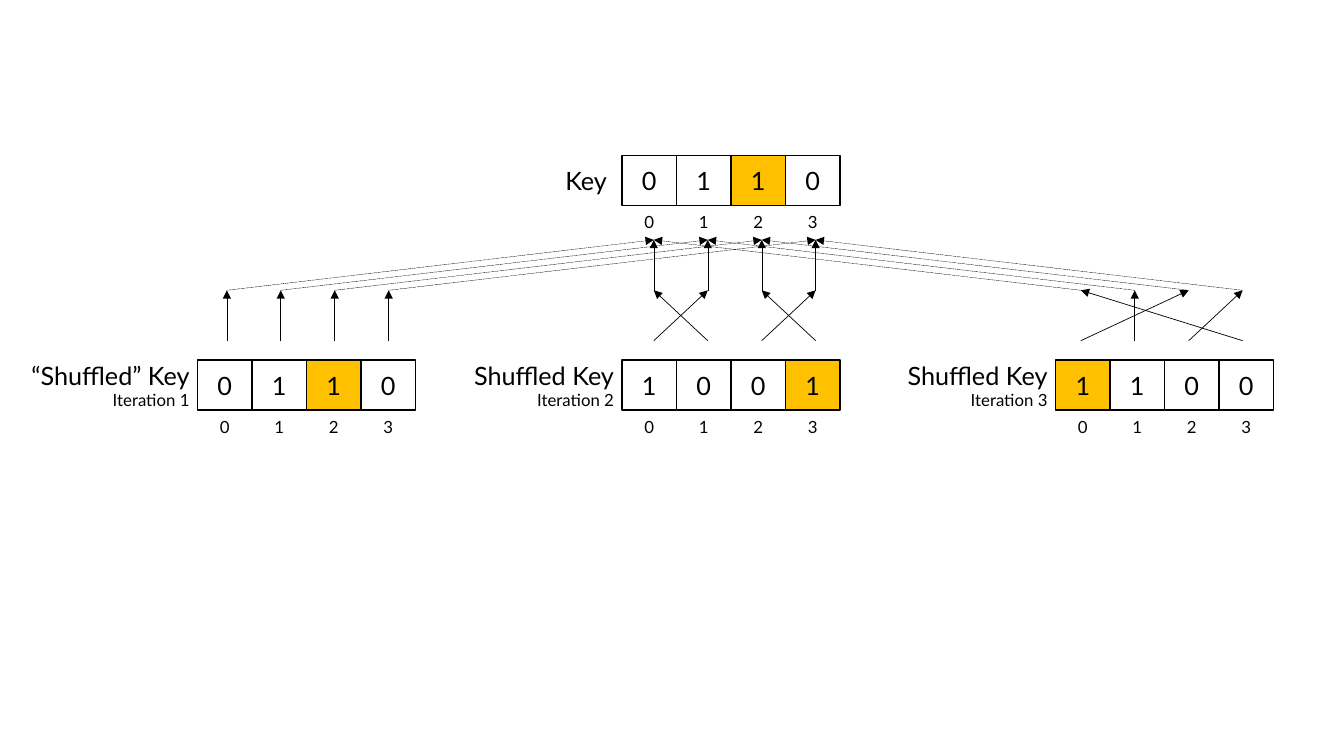
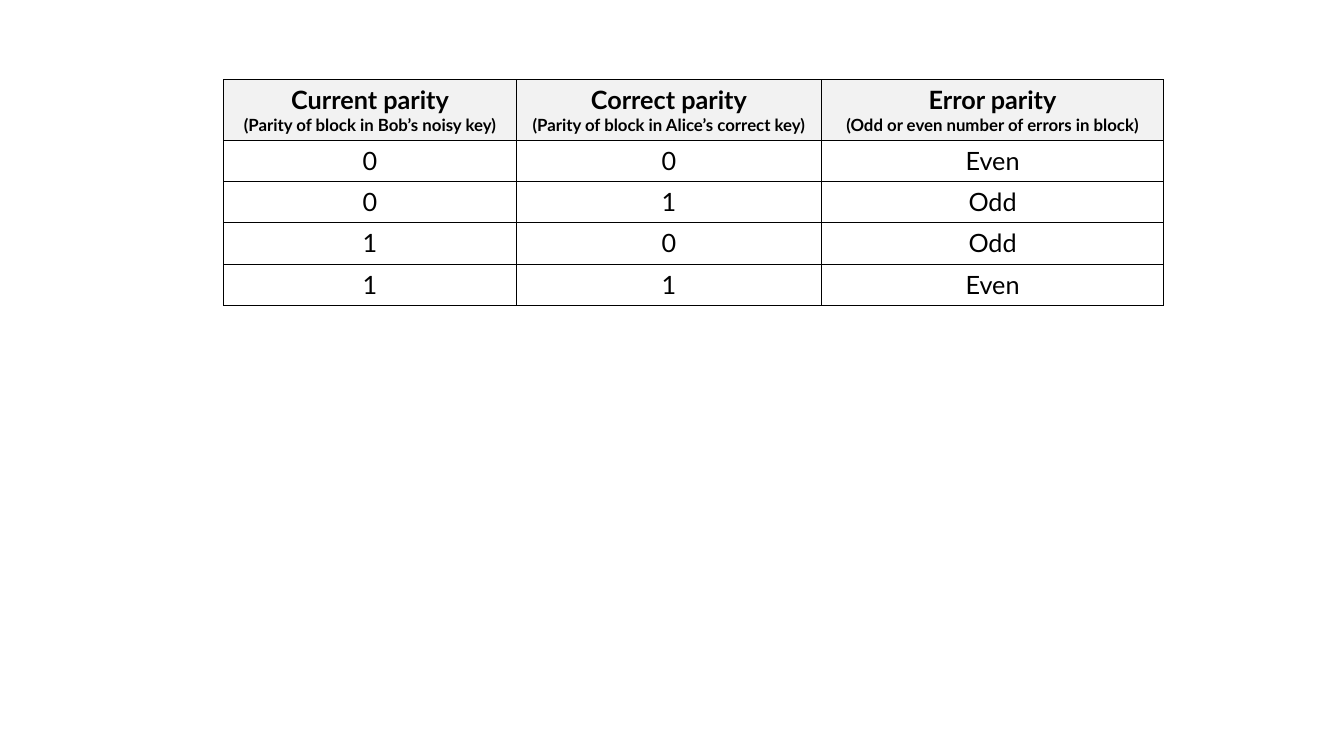
"""Build two slides: key shuffling over three iterations, and a parity table."""
from lxml.etree import SubElement
from pptx import Presentation
from pptx.dml.color import RGBColor
from pptx.enum.dml import MSO_LINE
from pptx.enum.shapes import MSO_CONNECTOR, MSO_SHAPE
from pptx.enum.text import MSO_ANCHOR, PP_ALIGN
from pptx.oxml import parse_xml
from pptx.oxml.ns import nsdecls, qn
from pptx.util import Inches, Pt

BLACK = RGBColor(0x00, 0x00, 0x00)
WHITE = RGBColor(0xFF, 0xFF, 0xFF)
AMBER = RGBColor(0xFF, 0xC0, 0x00)
PALE_GREY = RGBColor(0xF2, 0xF2, 0xF2)
FONT = "Lato"
LARGE, SMALL = 18, 12

KEY = "0110"
MARKED = 2
ITERATIONS = [
    ("“Shuffled” Key", "Iteration 1", (0, 1, 2, 3), 1.96),
    ("Shuffled Key", "Iteration 2", (1, 0, 3, 2), 6.17),
    ("Shuffled Key", "Iteration 3", (2, 1, 3, 0), 10.47),
]
KEY_LEFT, KEY_TOP, SHUFFLED_TOP = 6.17, 1.54, 3.57
BIT_WIDTH, BIT_HEIGHT, INDEX_HEIGHT = 0.54, 0.5, 0.26
LANE_LEFT, LANE_STEP, LANE_GROUP_STEP = 2.25, 0.535, 4.235
KEY_ARROW_Y, MIDDLE_Y, SHUFFLED_ARROW_Y = 2.38, 2.88, 3.38

PARITY_HEADERS = [
    ("Current parity", "(Parity of block in Bob’s noisy key)"),
    ("Correct parity", "(Parity of block in Alice’s correct key)"),
    ("Error parity", "(Odd or even number of errors in block)"),
]
PARITY_ROWS = [("0", "0", "Even"), ("0", "1", "Odd"), ("1", "0", "Odd"), ("1", "1", "Even")]
TABLE_LEFT, TABLE_TOP = 2.22, 0.79
COLUMN_WIDTHS = [2.9, 3.03, 3.39]
HEADER_HEIGHT, ROW_HEIGHT = 0.58, 0.41


def write(frame, lines, align, bold=False):
    """Fill a text frame with (text, size) lines."""
    for number, (text, size) in enumerate(lines):
        para = frame.add_paragraph() if number else frame.paragraphs[0]
        para.text = text
        para.alignment = align
        para.font.name = FONT
        para.font.size = Pt(size)
        para.font.bold = bold
        para.font.color.rgb = BLACK


def set_frame(frame, anchor):
    """Wrap the text, drop the insets and set the anchor."""
    frame.word_wrap = True
    frame.margin_left = frame.margin_right = frame.margin_top = frame.margin_bottom = 0
    frame.vertical_anchor = anchor


def add_text(shapes, place, lines, align, anchor):
    """Add a text box at the given left, top, width and height."""
    box = shapes.add_textbox(*map(Inches, place))
    set_frame(box.text_frame, anchor)
    write(box.text_frame, lines, align)


def add_key(page, left, top, bits, marked):
    """Add a group of bit cells with their indexes below."""
    shapes = page.shapes.add_group_shape().shapes
    for index, bit in enumerate(bits):
        x = left + index * BIT_WIDTH
        cell = shapes.add_shape(
            MSO_SHAPE.RECTANGLE, *map(Inches, (x, top, BIT_WIDTH, BIT_HEIGHT)))
        cell.shadow.inherit = False
        if index == marked:
            cell.fill.solid()
            cell.fill.fore_color.rgb = AMBER
        else:
            cell.fill.background()
        cell.line.color.rgb = BLACK
        cell.line.width = Pt(1)
        set_frame(cell.text_frame, MSO_ANCHOR.MIDDLE)
        write(cell.text_frame, [(bit, LARGE)], PP_ALIGN.CENTER)
        add_text(shapes, (x, top + BIT_HEIGHT, BIT_WIDTH, INDEX_HEIGHT),
                 [(str(index), SMALL)], PP_ALIGN.CENTER, MSO_ANCHOR.BOTTOM)


def add_arrow(page, start, end, width, dash=None):
    """Draw a straight arrow pointing at its end."""
    arrow = page.shapes.add_connector(
        MSO_CONNECTOR.STRAIGHT, *map(Inches, (*start, *end)))
    arrow.line.color.rgb = BLACK
    arrow.line.width = Pt(width)
    if dash:
        arrow.line.dash_style = dash
    properties = arrow._element.spPr
    SubElement(properties.find(qn("a:ln")), qn("a:tailEnd"), type="triangle")
    SubElement(properties, qn("a:effectLst"))


def lane(group, index):
    """Return the x position of one arrow lane."""
    return LANE_LEFT + group * LANE_GROUP_STEP + index * LANE_STEP


def build_shuffle(page):
    """Show the key, its shuffled forms and the arrows between them."""
    add_key(page, KEY_LEFT, KEY_TOP, KEY, MARKED)
    add_text(page.shapes, (KEY_LEFT - 0.75, KEY_TOP, 0.6, BIT_HEIGHT),
             [("Key", LARGE)], PP_ALIGN.RIGHT, MSO_ANCHOR.MIDDLE)
    for group, (name, iteration, order, left) in enumerate(ITERATIONS):
        add_key(page, left, SHUFFLED_TOP, [KEY[source] for source in order],
                order.index(MARKED))
        add_text(page.shapes, (left - 1.79, SHUFFLED_TOP, 1.71, BIT_HEIGHT),
                 [(name, LARGE), (iteration, SMALL)], PP_ALIGN.RIGHT, MSO_ANCHOR.MIDDLE)
        for index, source in enumerate(order):
            middle = (lane(group, source), MIDDLE_Y)
            add_arrow(page, (lane(group, index), SHUFFLED_ARROW_Y), middle, 0.5)
            add_arrow(page, middle, (lane(1, source), KEY_ARROW_Y), 0.25,
                      MSO_LINE.ROUND_DOT)


def format_cell(cell, fill):
    """Give a table cell its fill and black borders."""
    cell.fill.solid()
    cell.fill.fore_color.rgb = fill
    properties = cell._tc.get_or_add_tcPr()
    for position, side in enumerate("LRTB"):
        properties.insert(position, parse_xml(
            f'<a:ln{side} {nsdecls("a")} w="{Pt(1)}"><a:solidFill>'
            f'<a:srgbClr val="{BLACK}"/></a:solidFill></a:ln{side}>'))


def build_parity(page):
    """Show how current and correct parity give the error parity."""
    rows = [[((title, LARGE), (note, SMALL)) for title, note in PARITY_HEADERS]]
    rows += [[((value, LARGE),) for value in values] for values in PARITY_ROWS]
    heights = [HEADER_HEIGHT] + [ROW_HEIGHT] * len(PARITY_ROWS)
    table = page.shapes.add_table(
        len(rows), len(COLUMN_WIDTHS),
        *map(Inches, (TABLE_LEFT, TABLE_TOP, sum(COLUMN_WIDTHS), sum(heights)))).table
    for column, width in zip(table.columns, COLUMN_WIDTHS):
        column.width = Inches(width)
    for number, (row, height, contents) in enumerate(zip(table.rows, heights, rows)):
        row.height = Inches(height)
        for cell, lines in zip(row.cells, contents):
            write(cell.text_frame, lines, PP_ALIGN.CENTER, bold=number == 0)
            format_cell(cell, WHITE if number else PALE_GREY)


def main():
    deck = Presentation()
    deck.slide_width, deck.slide_height = Inches(13.33), Inches(7.5)
    blank = deck.slide_layouts[6]
    for build in (build_shuffle, build_parity):
        build(deck.slides.add_slide(blank))
    deck.save("out.pptx")


if __name__ == "__main__":
    main()
